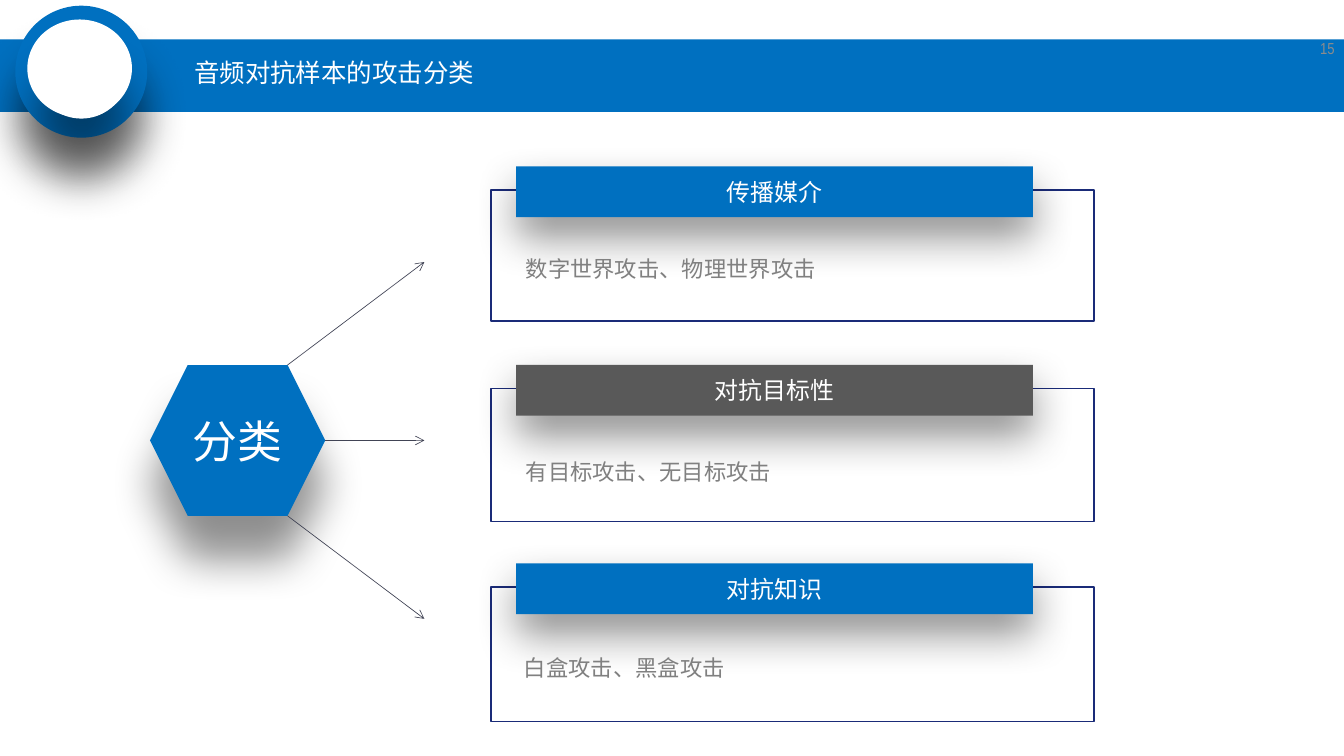
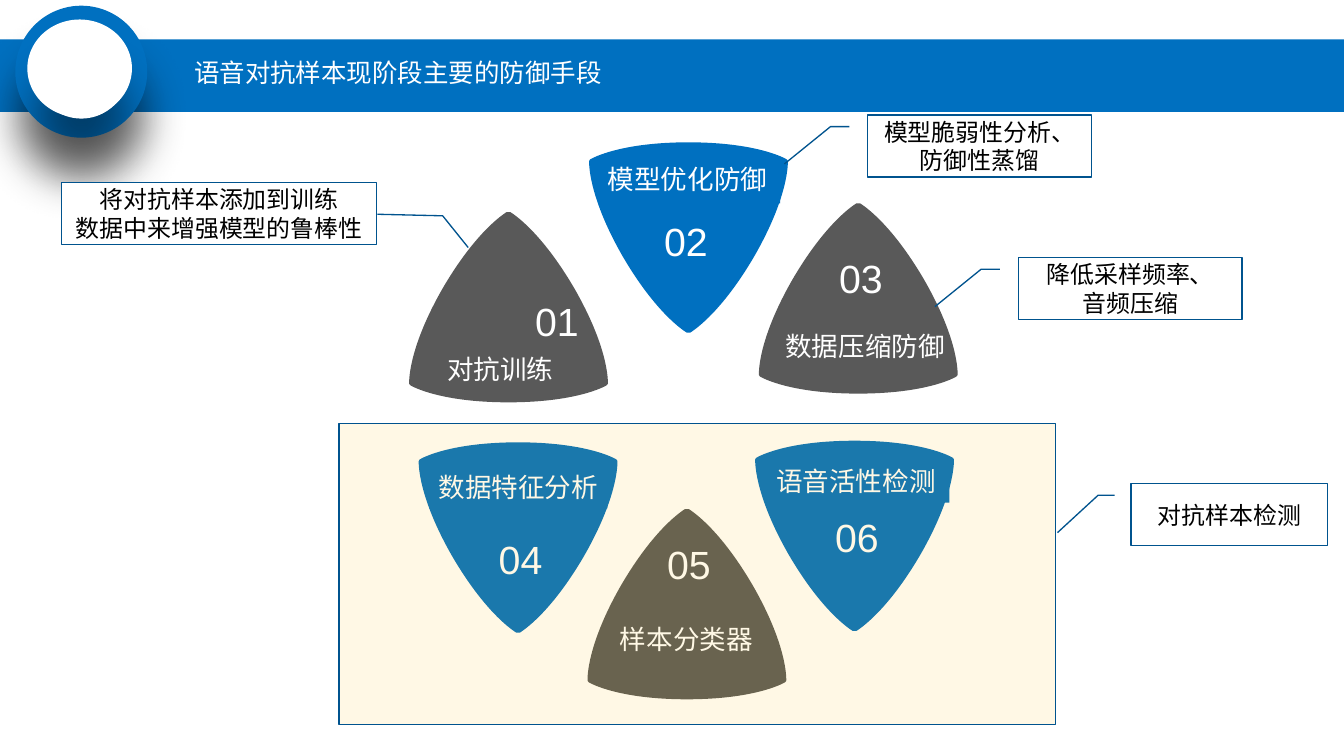
from lxml import etree
from pptx import Presentation
from pptx.dml.color import RGBColor
from pptx.enum.shapes import MSO_CONNECTOR, MSO_SHAPE
from pptx.enum.text import MSO_ANCHOR, PP_ALIGN
from pptx.oxml.ns import qn
from pptx.util import Pt

RECT, OVAL = MSO_SHAPE.RECTANGLE, MSO_SHAPE.OVAL
HEXAGON, CALLOUT = MSO_SHAPE.HEXAGON, MSO_SHAPE.LINE_CALLOUT_2
LEFT, CENTER, RIGHT = PP_ALIGN.LEFT, PP_ALIGN.CENTER, PP_ALIGN.RIGHT
TOP, MIDDLE = MSO_ANCHOR.TOP, MSO_ANCHOR.MIDDLE
STRAIGHT = MSO_CONNECTOR.STRAIGHT


class Theme:
    blue, gray, white, black = "0070C0", "595959", "FFFFFF", "000000"
    navy, edge, ink = "1A2B78", "00538E", "414455"
    note, page, amber = "808080", "8C8C8C", "FFC000"
    font, digit, label = "Arial Narrow", "Arial", "Calibri"
    title_size, head_size, note_size, page_size = 19.2, 18, 16.87, 12
    hub_size, digit_size, label_size = 33.8, 29.6, 20


WIDTH, HEIGHT = 1012.5, 569.5

# Slide 1
KIND_TITLE, KIND_SPAN = "音频对抗样本的攻击分类", 250
PAGE = "15"
HUB, HUB_BOX = "分类", (113, 275, 132, 113.6)
CARDS = [  # heading, colour, note, left and top of the note
    ("传播媒介", Theme.blue, "数字世界攻击、物理世界攻击", 389, 182.7),
    ("对抗目标性", Theme.gray, "有目标攻击、无目标攻击", 389, 335.8),
    ("对抗知识", Theme.blue, "白盒攻击、黑盒攻击", 387.6, 483.1),
]
CARD_TOP, CARD_STEP = 125.4, 149.5
ARROW_END, ARROW_RISE = 319.7, 134.4

# Slide 2
GUARD_TITLE, GUARD_SPAN = "语音对抗样本现阶段主要的防御手段", 340
PETALS = [  # number, label, points up, backed label, colour, places, label box
    ("01", "对抗训练", True, True, Theme.gray,
     (308.2, 159.8), (396, 220.7), (329.7, 262, 94.4, 31.7)),
    ("02", "模型优化防御", False, True, Theme.blue,
     (443.8, 107.2), (493.2, 159.8), (450.7, 119.5, 137, 33.8)),
    ("03", "数据压缩防御", True, False, Theme.gray,
     (571.7, 153.2), (625, 188.3), (584.6, 244.8, 134.4, 31.7)),
    ("04", "数据特征分析", False, True, Theme.blue,
     (315.4, 333.2), (368.6, 399.6), (323.3, 351.4, 134.4, 31.7)),
    ("05", "样本分类器", True, False, Theme.gray,
     (442.6, 383.5), (495.4, 403.6), (460, 466.1, 114.4, 31.7)),
    ("06", "语音活性检测", False, True, Theme.blue,
     (568.9, 332), (622, 383), (577.7, 347, 137.5, 31.7)),
]
PANEL = (255.4, 318.8, 540, 226.8)
BEND = (0.188, -0.083, 0.188, -0.167, 0.789, -0.373)
CALLOUTS = [
    ("模型脆弱性分析、防御性蒸馏", (653.8, 86.6, 168.5, 46.8), BEND),
    ("将对抗样本添加到训练\n数据中来增强模型的鲁棒性", (46.3, 137.5, 237.6, 46.8),
     (0.511, 1.002, 0.536, 1.209, 1.047, 1.29)),
    ("降低采样频率、\n音频压缩", (767.2, 194.1, 168.5, 46.8), BEND),
    ("对抗样本检测", (852, 364.3, 148.3, 46.8), BEND),
]

# Curve points of the left half of an upward petal, in hundredths of an inch
PETAL_W, PETAL_H, UNIT = 208, 199, 0.72
PETAL_HALF = [
    (104, 199),
    (34, 199), (4, 183), (1, 181),
    (0, 180), (0, 179), (0, 179),
    (0, 175), (0, 141), (35, 80),
    (70, 20), (99, 2), (102, 0),
    (103, 0), (103, 0), (104, 0),
]
PETAL = PETAL_HALF + [(PETAL_W - x, y) for x, y in PETAL_HALF[-2::-1]]


def points(values):
    return [Pt(v) for v in values]


def paint(shape, fill=None, line=None, shadow=None, alpha=None):
    """Set fill, outline and shadow; shadow is its offset in points."""
    shape.shadow.inherit = False
    props = shape.element.spPr
    if fill:
        shape.fill.solid()
        shape.fill.fore_color.rgb = RGBColor.from_string(fill)
        if alpha:
            tone = props.find(qn("a:solidFill"))[0]
            etree.SubElement(tone, qn("a:alpha"), val=str(alpha * 1000))
    else:
        shape.fill.background()
    if line:
        shape.line.color.rgb = RGBColor.from_string(line)
        shape.line.width = Pt(1)
    else:
        shape.line.fill.background()
    if shadow:
        cast = etree.SubElement(
            props.find(qn("a:effectLst")), qn("a:outerShdw"),
            blurRad=str(Pt(33)), dist=str(Pt(shadow)), dir="5400000",
            algn="t", rotWithShape="0")
        tone = etree.SubElement(cast, qn("a:srgbClr"), val=Theme.black)
        etree.SubElement(tone, qn("a:alpha"), val="43000")


def write(shape, text, size, color, font=Theme.font, align=CENTER,
          anchor=MIDDLE, spacing=None, wrap=True):
    frame = shape.text_frame
    frame.text = text
    frame.word_wrap = wrap
    frame.vertical_anchor = anchor
    for para in frame.paragraphs:
        para.alignment = align
        if spacing:
            para.line_spacing = spacing
        for run in para.runs:
            run.font.size = Pt(size)
            run.font.name = font
            run.font.color.rgb = RGBColor.from_string(color)


def add_shape(shapes, kind, box, **style):
    shape = shapes.add_shape(kind, *points(box))
    paint(shape, **style)
    return shape


def add_note(shapes, box, text, size, color, **style):
    write(shapes.add_textbox(*points(box)), text, size, color, **style)


def add_arrow(shapes, start, end):
    arrow = shapes.add_connector(STRAIGHT, *points(start + end))
    arrow.line.color.rgb = RGBColor.from_string(Theme.ink)
    arrow.line.width = Pt(0.5)
    line = arrow.element.spPr.find(qn("a:ln"))
    etree.SubElement(line, qn("a:tailEnd"), type="arrow")
    etree.SubElement(arrow.element.spPr, qn("a:effectLst"))


def dress(layout, slide):
    """Build the shared band and badge, then move them to the layout."""
    shapes = slide.shapes
    parts = [
        add_shape(shapes, RECT, (0, 29.7, WIDTH, 54.7), fill=Theme.blue),
        add_shape(shapes, OVAL, (11.5, 4.3, 99.4, 99.4), fill=Theme.blue, shadow=33),
        add_shape(shapes, OVAL, (26, 18.7, 70.6, 70.6), fill=Theme.white, shadow=33),
    ]
    for number, part in enumerate(parts, 101):
        part.element.nvSpPr.cNvPr.set("id", str(number))
        layout.shapes.element.append(part.element)


def add_title(slide, text, span):
    title = slide.shapes.title
    title.left, title.top, title.width, title.height = points((139, 36, span, 39.6))
    write(title, text, Theme.title_size, Theme.white, align=LEFT, spacing=0.9)


def add_disc(slide):
    add_shape(slide.shapes, OVAL, (21.1, 15.2, 77.8, 72.7), fill=Theme.white,
              line=Theme.white)


def add_outline(shapes, place, upward):
    """Join the petal's corners, then turn each side into a curve."""
    left, top = place
    spots = [(Pt(UNIT * x), Pt(UNIT * (y if upward else PETAL_H - y)))
             for x, y in PETAL]
    first, *corners = [(Pt(left) + x, Pt(top) + y) for x, y in spots[::3]]
    build = shapes.build_freeform(*first)
    build.add_line_segments(corners, close=True)
    shape = build.convert_to_shape()
    sides = list(shape.element.iter(qn("a:lnTo")))
    for i, side in enumerate(sides):
        curve = etree.Element(qn("a:cubicBezTo"))
        for x, y in spots[3 * i + 1:3 * i + 4]:
            etree.SubElement(curve, qn("a:pt"), x=str(x), y=str(y))
        side.getparent().replace(side, curve)
    return shape


def add_petal(slide, number, label, upward, backed, color, place, digit, box):
    shapes = slide.shapes.add_group_shape().shapes
    paint(add_outline(shapes, place, upward), fill=color)
    add_note(shapes, digit + (62, 56), number, Theme.digit_size, Theme.white,
             font=Theme.digit, align=LEFT, anchor=TOP)
    if backed:
        name = add_shape(shapes, RECT, box, fill=color)
    else:
        name = shapes.add_textbox(*points(box))
    roomy = box[2] > Theme.label_size * len(label) + 15
    write(name, label, Theme.label_size, Theme.white, font=Theme.label,
          align=LEFT, anchor=TOP, wrap=roomy)


def fill_kinds(slide):
    add_title(slide, KIND_TITLE, KIND_SPAN)
    shapes = slide.shapes
    for i, (head, color, note, left, top) in enumerate(CARDS):
        y = CARD_TOP + i * CARD_STEP
        add_shape(shapes, RECT, (370, y + 17.8, 454.3, 98.6 + 1.45 * i),
                  line=Theme.navy)
        bar = add_shape(shapes, RECT, (388.8, y, 389.3, 38.2), fill=color, shadow=15)
        write(bar, head, Theme.head_size, Theme.white)
        add_note(shapes, (left, top, 451.5, 33.8), note, Theme.note_size, Theme.note,
                 align=LEFT, anchor=TOP, spacing=1.3)
    hub = add_shape(shapes, HEXAGON, HUB_BOX, fill=Theme.blue, shadow=33)
    write(hub, HUB, Theme.hub_size, Theme.white)
    x, y, w, h = HUB_BOX
    middle = y + h / 2
    for side in (-1, 0, 1):
        start = x + w - abs(side) * h / 4
        add_arrow(shapes, (start, middle + side * h / 2),
                  (ARROW_END, middle + side * ARROW_RISE))
    add_note(shapes, (963, 21, 49.5, 30), PAGE, Theme.page_size, Theme.page,
             align=RIGHT)
    add_disc(slide)


def fill_guards(slide):
    add_title(slide, GUARD_TITLE, GUARD_SPAN)
    for petal in PETALS:
        add_petal(slide, *petal)
    add_shape(slide.shapes, RECT, PANEL, fill=Theme.amber, alpha=10, line=Theme.edge)
    for text, box, bend in CALLOUTS:
        call = add_shape(slide.shapes, CALLOUT, box, fill=Theme.white, line=Theme.edge)
        for i, value in enumerate(bend):
            call.adjustments[i] = value
        write(call, text, Theme.head_size, Theme.black)
    add_disc(slide)


def main():
    prs = Presentation()
    prs.slide_width, prs.slide_height = Pt(WIDTH), Pt(HEIGHT)
    layout = prs.slide_layouts[5]
    kinds, guards = (prs.slides.add_slide(layout) for _ in range(2))
    dress(layout, kinds)
    fill_kinds(kinds)
    fill_guards(guards)
    prs.save("out.pptx")


if __name__ == "__main__":
    main()
